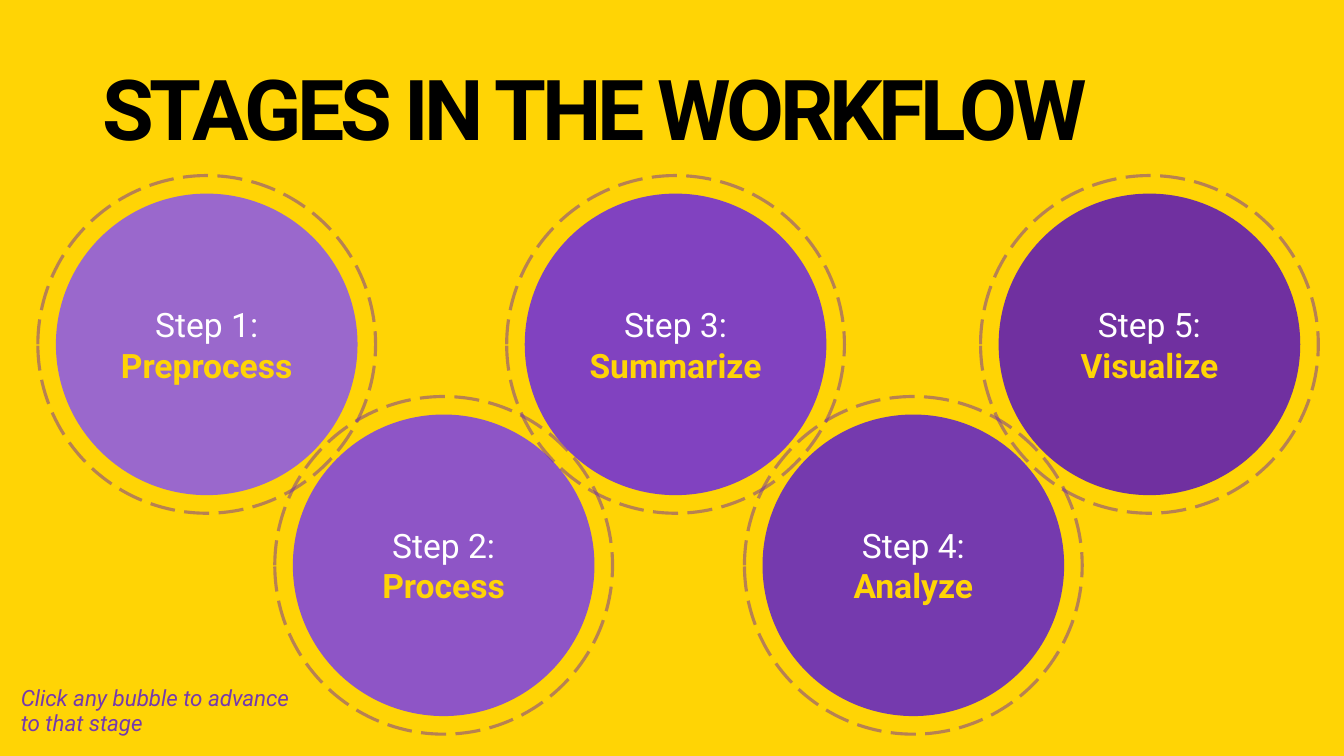
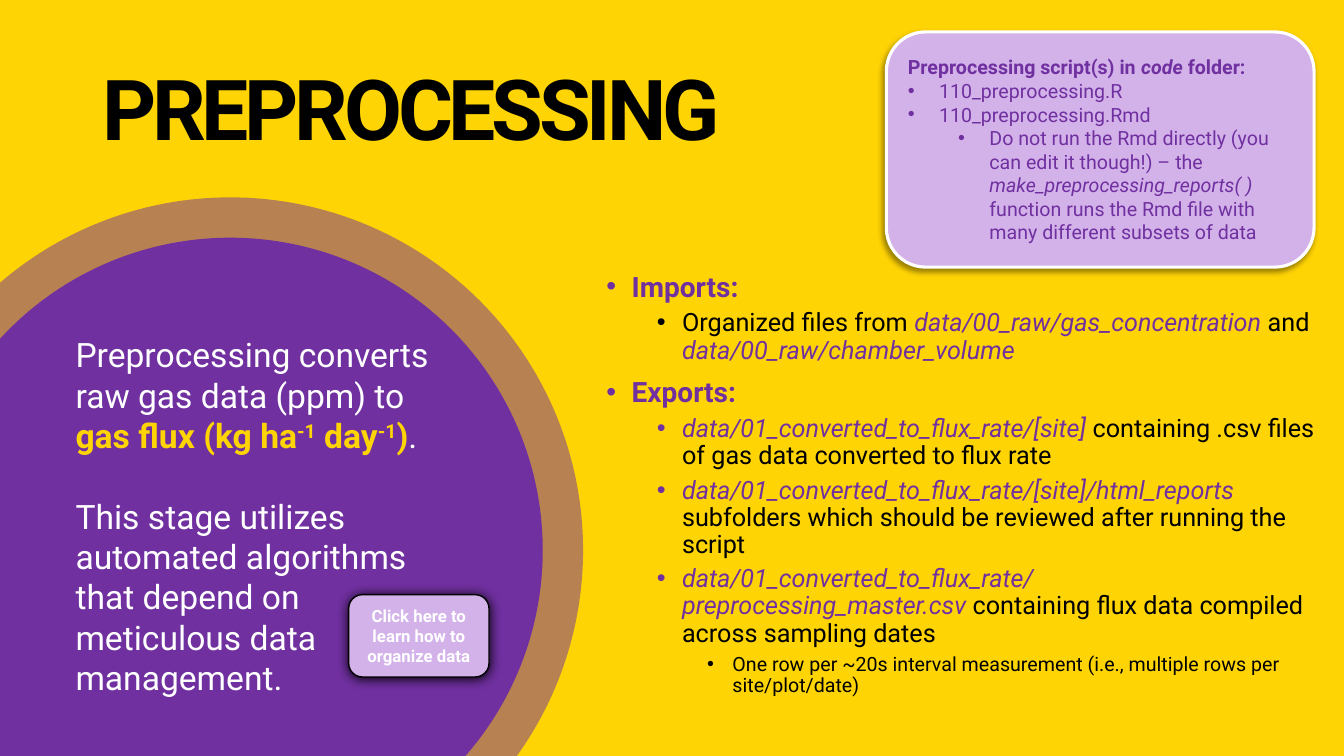
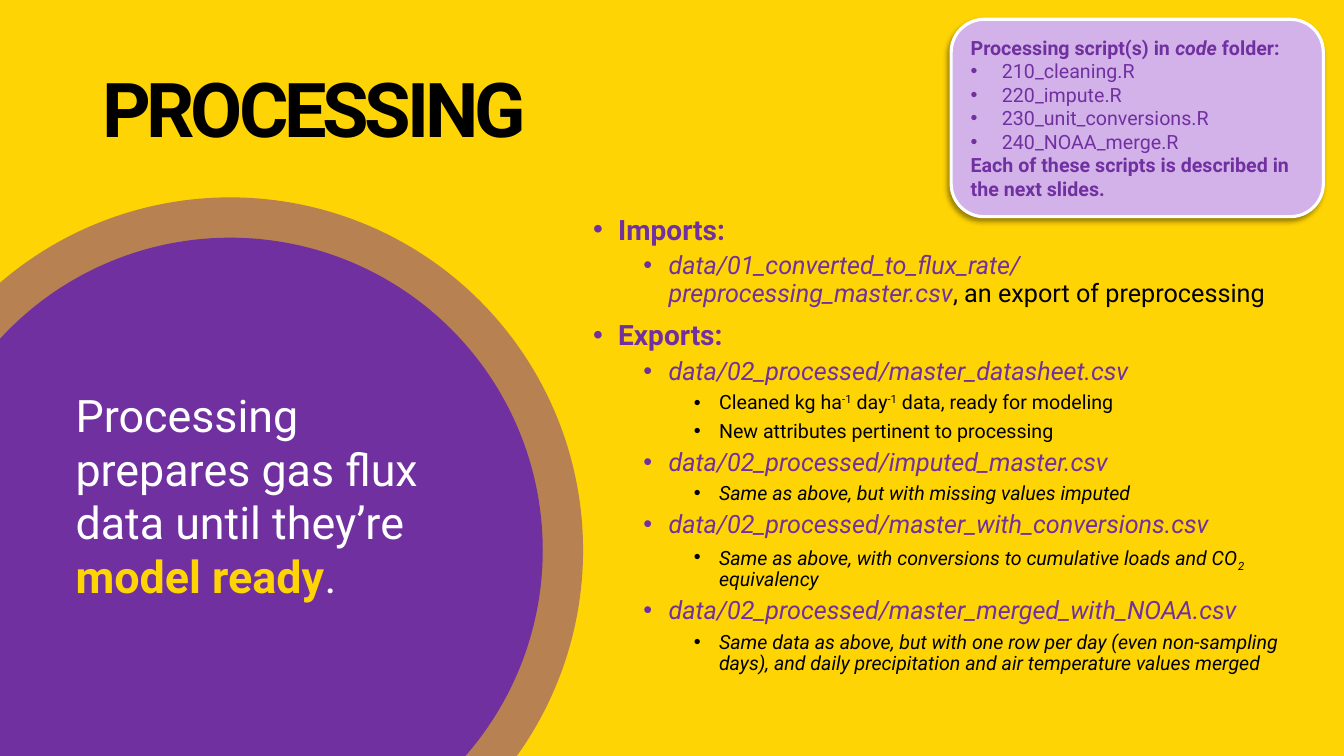
"""Build three slides on the stages of a gas flux data workflow."""
import pptx
import pptx.dml.color
import pptx.enum.dml
import pptx.enum.shapes
import pptx.enum.text
import pptx.oxml.ns
import pptx.util
from lxml import etree

COLOURS = {
    "yellow": "FFD405", "black": "000000", "white": "FFFFFF",
    "purple": "7030A0", "lilac": "D3B2EA", "caption": "753AAE",
    "step 1": "9A68CC", "step 2": "8E55C6", "step 3": "8142C0",
    "step 4": "753AAE", "step 5": "7030A0",
}
FONT = "Roboto"
LEFT = pptx.enum.text.PP_ALIGN.LEFT
CENTER = pptx.enum.text.PP_ALIGN.CENTER
TOP = pptx.enum.text.MSO_ANCHOR.TOP
MIDDLE = pptx.enum.text.MSO_ANCHOR.MIDDLE
BOTTOM = pptx.enum.text.MSO_ANCHOR.BOTTOM
OVAL = pptx.enum.shapes.MSO_SHAPE.OVAL
ROUNDED = pptx.enum.shapes.MSO_SHAPE.ROUNDED_RECTANGLE

# level, left margin and hanging indent in inches, line spacing, space before, bullet, alignment, size
STYLES = {
    "title": (0, 0, 0, 0.9, 0, False, LEFT, 60),
    "short title": (0, 0, 0, 0.9, 0, False, LEFT, 54),
    "bubble": (0, 0, 0, 1, 0, False, CENTER, 24),
    "caption": (0, 0, 0, 0.9, 0, False, LEFT, 16),
    "heading": (0, 0.25, 0.25, 0.9, 10, True, LEFT, 20),
    "item": (1, 0.75, 0.25, 0.9, 5, True, LEFT, 18),
    "detail": (2, 1.25, 0.25, 0.9, 5, True, LEFT, 14),
    "summary": (0, 0.56, 0, 1, 29, False, LEFT, 24),
    "large summary": (0, 0.56, 0, 1, 0, False, LEFT, 32),
    "note": (0, 0, 0, 1, 0, False, LEFT, 14),
    "note item": (0, 0.31, 0.31, 1, 0, True, LEFT, 14),
    "note detail": (1, 0.81, 0.31, 1, 0, True, LEFT, 14),
    "button": (0, 0, 0, 1, 0, False, CENTER, 12),
}

presentation = pptx.Presentation()
presentation.slide_width = pptx.util.Inches(13.33)
presentation.slide_height = pptx.util.Inches(7.5)
CELL = presentation.slide_height / 90
background = presentation.slide_master.background.fill
background.solid()
background.fore_color.rgb = pptx.dml.color.RGBColor.from_string(COLOURS["yellow"])


def draw(slide, preset, box, fill=None, line=None, weight=1, alpha=100, shadow=None):
    """Add a preset shape, or a text box without one, at grid cells."""
    place = [int(cells * CELL) for cells in box]
    if preset is None:
        return slide.shapes.add_textbox(*place)
    shape = slide.shapes.add_shape(preset, *place)
    if fill:
        shape.fill.solid()
        shape.fill.fore_color.rgb = pptx.dml.color.RGBColor.from_string(COLOURS[fill])
    else:
        shape.fill.background()
    if line:
        shape.line.color.rgb = pptx.dml.color.RGBColor.from_string(COLOURS[line])
        shape.line.width = pptx.util.Pt(weight)
    else:
        shape.line.fill.background()
    properties = shape._element.spPr
    if alpha < 100:
        for colour in properties.iter(pptx.oxml.ns.qn("a:srgbClr")):
            etree.SubElement(colour, pptx.oxml.ns.qn("a:alpha"), val=str(alpha * 1000))
    shape.shadow.inherit = False
    if shadow:
        opacity, blur, distance, angle = shadow
        effects = properties.find(pptx.oxml.ns.qn("a:effectLst"))
        outer = etree.SubElement(
            effects, pptx.oxml.ns.qn("a:outerShdw"), blurRad=str(pptx.util.Pt(blur)),
            dist=str(pptx.util.Pt(distance)), dir=str(angle * 60000), rotWithShape="0")
        colour = etree.SubElement(outer, pptx.oxml.ns.qn("a:srgbClr"), val=COLOURS["black"])
        etree.SubElement(colour, pptx.oxml.ns.qn("a:alpha"), val=str(opacity * 1000))
    return shape


def write(shape, anchor, paragraphs):
    """Fill a shape with (style, runs); marks are b, i, ^ (super), _ (sub) and < (tight)."""
    frame = shape.text_frame
    frame.word_wrap = True
    frame.vertical_anchor = anchor
    for index, (style, runs) in enumerate(paragraphs):
        level, margin, hanging, spacing, before, bullet, alignment, size = STYLES[style]
        paragraph = frame.add_paragraph() if index else frame.paragraphs[0]
        properties = paragraph._p.get_or_add_pPr()
        properties.set("marL", str(pptx.util.Inches(margin)))
        properties.set("indent", str(pptx.util.Inches(-hanging)))
        if bullet:
            etree.SubElement(properties, pptx.oxml.ns.qn("a:buFont"), typeface="Arial")
            etree.SubElement(properties, pptx.oxml.ns.qn("a:buChar"), char="•")
        paragraph.level = level
        paragraph.alignment = alignment
        paragraph.line_spacing = spacing
        paragraph.space_before = pptx.util.Pt(before if index else 0)
        for text, colour, marks in runs:
            for part, piece in enumerate(text.split("\n")):
                if part:
                    paragraph.add_line_break()
                run = paragraph.add_run()
                run.text = piece
                run.font.name = FONT
                run.font.size = pptx.util.Pt(size)
                run.font.bold = "b" in marks
                run.font.italic = "i" in marks
                run.font.color.rgb = pptx.dml.color.RGBColor.from_string(COLOURS[colour])
                for mark, name, value in (("^", "baseline", "30000"), ("_", "baseline", "-25000"),
                                          ("<", "spc", "-300")):
                    if mark in marks:
                        run._r.get_or_add_rPr().set(name, value)


slides = []
for style, title in (("title", "STAGES IN THE WORKFLOW"), ("title", "PREPROCESSING"),
                     ("short title", "PROCESSING")):
    slide = presentation.slides.add_slide(presentation.slide_layouts[6])
    write(draw(slide, None, (11, 4.8, 138, 17.4)), MIDDLE, [(style, [(title, "black", "b<")])])
    slides.append(slide)
stages, preprocessing, processing = slides

RING, BUBBLE = 40.2, 35.9
inset = (RING - BUBBLE) / 2
steps = ((4.5, "Preprocess"), (32.7, "Process"), (60.3, "Summarize"),
         (88.6, "Analyze"), (116.7, "Visualize"))
for number, (left, name) in enumerate(steps, 1):
    top = 20.9 if number % 2 else 47.2
    ring = draw(stages, OVAL, (left, top, RING, RING), line="purple", weight=2.25, alpha=50)
    ring.line.dash_style = pptx.enum.dml.MSO_LINE.LONG_DASH
    bubble = draw(stages, OVAL, (left + inset, top + inset, BUBBLE, BUBBLE), f"step {number}")
    write(bubble, MIDDLE, [("bubble", [(f"Step {number}: ", "white", ""), (name, "yellow", "b")])])
write(draw(stages, None, (1.3, 77.9, 35.9, 10.3)), BOTTOM,
      [("caption", [("Click any bubble to advance to that stage", "caption", "i")])])

imports = ("heading", [("Imports:", "purple", "b")])
exports = ("heading", [("Exports:", "purple", "b")])
master_file = "data/01_converted_to_flux_rate/\npreprocessing_master.csv"
details = (
    (preprocessing, (105.5, 3.8, 50.9, 28), (71, 31.9, 89, 56.8), 0.05, [
        ("summary", [
            ("Preprocessing converts raw gas data (ppm) to ", "white", ""),
            ("gas flux (kg ha", "yellow", "b"), ("-1", "yellow", "b^"),
            (" day", "yellow", "b"), ("-1", "yellow", "b^"), (")", "yellow", "b"),
            (".", "white", "")]),
        ("summary", [("This stage utilizes automated algorithms that depend on "
                      "meticulous data management.", "white", "")]),
    ], [
        ("note", [("Preprocessing script(s) in ", "purple", "b"), ("code", "purple", "bi"),
                  (" folder:", "purple", "b")]),
        ("note item", [("110_preprocessing.R", "purple", "")]),
        ("note item", [("110_preprocessing.Rmd", "purple", "")]),
        ("note detail", [
            ("Do not run the Rmd directly (you can edit it though!) – the ", "purple", ""),
            ("make_preprocessing_reports( ) ", "purple", "i"),
            ("function runs the Rmd file with many different subsets of data", "purple", "")]),
    ], [
        imports,
        ("item", [("Organized files from ", "black", ""),
                  ("data/00_raw/gas_concentration ", "purple", "i"), ("and ", "black", ""),
                  ("data/00_raw/chamber_volume", "purple", "i")]),
        exports,
        ("item", [("data/01_converted_to_flux_rate/[site] ", "purple", "i"),
                  ("containing .csv files of gas data converted to flux rate", "black", "")]),
        ("item", [("data/01_converted_to_flux_rate/[site]/html_reports ", "purple", "i"),
                  ("subfolders which should be reviewed after running the script", "black", "")]),
        ("item", [(master_file + " ", "purple", "i"),
                  ("containing flux data compiled across sampling dates", "black", "")]),
        ("detail", [("One row per ~20s interval measurement (i.e., multiple rows per "
                     "site/plot/date)", "black", "")]),
    ]),
    (processing, (113.2, 2.3, 44.3, 23.5), (69.4, 25.1, 89, 56.8), 0.58, [
        ("large summary", [("Processing prepares gas flux data until they’re ", "white", ""),
                           ("model ready", "yellow", "b"), (".", "white", "")]),
    ], [
        ("note", [("Processing script(s) in ", "purple", "b"), ("code", "purple", "bi"),
                  (" folder:", "purple", "b")]),
        *[("note item", [(script, "purple", "")]) for script in (
            "210_cleaning.R", "220_impute.R", "230_unit_conversions.R", "240_NOAA_merge.R")],
        ("note", [("Each of these scripts is described in the next slides.", "purple", "b")]),
    ], [
        imports,
        ("item", [(master_file, "purple", "i"), (", an export of preprocessing", "black", "")]),
        exports,
        ("item", [("data/02_processed/master_datasheet.csv", "purple", "i")]),
        ("detail", [("Cleaned kg ha", "black", ""), ("-1", "black", "^"), (" day", "black", ""),
                    ("-1", "black", "^"), (" data, ready for modeling", "black", "")]),
        ("detail", [("New attributes pertinent to processing", "black", "")]),
        ("item", [("data/02_processed/imputed_master.csv", "purple", "i")]),
        ("detail", [("Same as above, but with missing values imputed", "black", "i")]),
        ("item", [("data/02_processed/master_with_conversions.csv", "purple", "i")]),
        ("detail", [("Same as above, with conversions to cumulative loads and CO", "black", "i"),
                    ("2", "black", "i_"), (" equivalency", "black", "i")]),
        ("item", [("data/02_processed/master_merged_with_NOAA.csv", "purple", "i")]),
        ("detail", [("Same data as above, but with one row per day (even non-sampling days), "
                     "and daily precipitation and air temperature values merged", "black", "i")]),
    ]),
)
for slide, note_box, body_box, summary_margin, summary, note, body in details:
    draw(slide, OVAL, (-14.6, 23.5, 84, 84), "purple", alpha=50)
    disc = draw(slide, OVAL, (-9.8, 28.3, 74.4, 74.4), "purple")
    write(disc, TOP, summary)
    disc.text_frame.margin_top = pptx.util.Inches(summary_margin)
    write(draw(slide, None, body_box), TOP, body)
    write(draw(slide, ROUNDED, note_box, "lilac", "white", 2.25, shadow=(40, 4, 3, 135)),
          MIDDLE, note)

button = draw(preprocessing, ROUNDED, (41.5, 70.8, 16.7, 9.8), "lilac", "black",
              shadow=(100, 8.5, 1, 90))
write(button, MIDDLE, [("button", [("Click here to learn how to organize data", "white", "b")])])

presentation.save("out.pptx")
